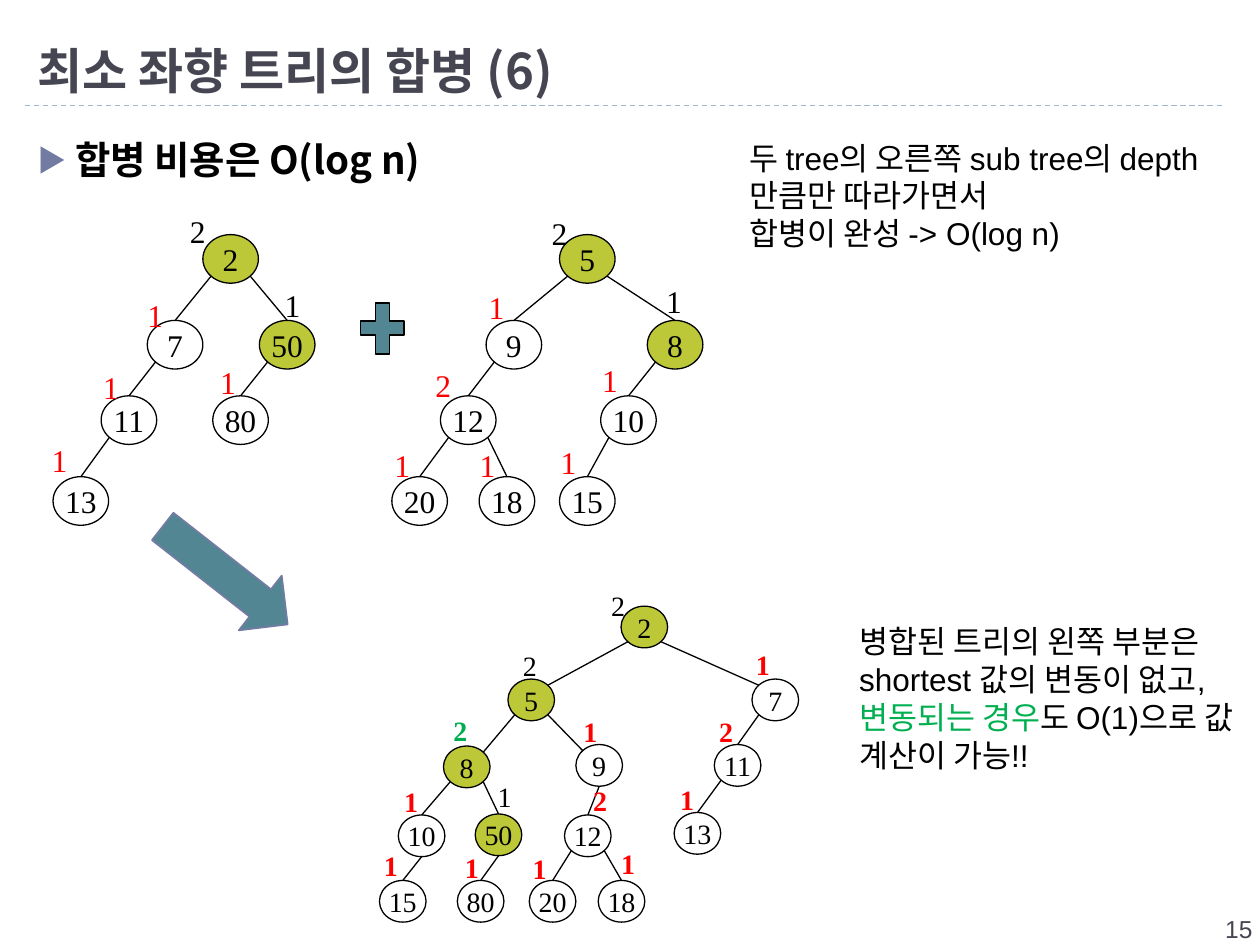
import pptx
import pptx.util
import pptx.dml.color
import pptx.enum.dml
import pptx.enum.shapes
import pptx.enum.text
import pptx.oxml
import pptx.oxml.ns

Cm = pptx.util.Cm
Pt = pptx.util.Pt
RGB = pptx.dml.color.RGBColor
Kind = pptx.enum.shapes.MSO_SHAPE
Align = pptx.enum.text.PP_ALIGN
Anchor = pptx.enum.text.MSO_ANCHOR

BLACK = RGB(0, 0, 0)
RED = RGB(255, 0, 0)
GREEN = RGB(0x00, 0xAC, 0x4E)
MINT = RGB(0x00, 0xB0, 0x50)
LIME = RGB(0xBC, 0xC8, 0x38)
TEAL = RGB(0x52, 0x86, 0x93)
SLATE = RGB(0x72, 0x7C, 0xA3)
INK = RGB(0x46, 0x46, 0x53)
RULE = RGB(0x9F, 0xB8, 0xCD)

SANS = "Arial"
SERIF = "Times New Roman"
HANGUL = "Noto Sans CJK KR"

ROWS = (5.22, 6.95, 8.47, 10.1)

LEFT = [
    ("2", 4.65, ROWS[0], LIME, 3.58, 4.14, BLACK, None, None),
    ("7", 3.53, ROWS[1], None, 2.72, 5.84, RED, "2", "side"),
    ("50", 5.79, ROWS[1], LIME, 5.49, 5.64, BLACK, "2", "side"),
    ("11", 2.6, ROWS[2], None, 1.83, 7.29, RED, "7", "side"),
    ("80", 4.85, ROWS[2], None, 4.19, 7.19, RED, "50", "side"),
    ("13", 1.63, ROWS[3], None, 0.79, 8.76, RED, "11", "side"),
]
RIGHT = [
    ("5", 11.84, ROWS[0], LIME, 10.87, 4.19, BLACK, None, None),
    ("9", 10.36, ROWS[1], None, 9.6, 5.69, RED, "5", "side"),
    ("8", 13.61, ROWS[1], LIME, 13.18, 5.56, BLACK, "5", "side"),
    ("12", 9.44, ROWS[2], None, 8.53, 7.26, RED, "9", "side"),
    ("10", 12.67, ROWS[2], None, 11.89, 7.16, RED, "8", "side"),
    ("20", 8.46, ROWS[3], None, 7.7, 8.86, RED, "12", "side"),
    ("18", 10.22, ROWS[3], None, 9.42, 8.86, RED, "12", "side"),
    ("15", 11.84, ROWS[3], None, 11.05, 8.81, RED, "10", "side"),
]
MERGED = [
    ("2", 12.99, 12.64, LIME, 12.07, 11.73, BLACK, None, None),
    ("5", 10.71, 14.11, LIME, 10.29, 12.95, BLACK, "2", "slant"),
    ("7", 15.63, 14.11, None, 14.99, 12.93, RED, "2", "slant"),
    ("8", 9.41, 15.46, LIME, 8.89, 14.25, GREEN, "5", "slant"),
    ("9", 12.08, 15.43, None, 11.51, 14.27, RED, "5", "slant"),
    ("11", 14.87, 15.43, None, 14.25, 14.27, RED, "7", "side"),
    ("10", 8.5, 16.85, None, 7.9, 15.7, RED, "8", "side"),
    ("50", 10.05, 16.83, LIME, 9.78, 15.6, BLACK, "8", "side"),
    ("12", 11.85, 16.85, None, 11.71, 15.67, RED, "9", "down"),
    ("13", 14.06, 16.8, None, 13.46, 15.65, RED, "11", "side"),
    ("15", 8.12, 18.17, None, 7.49, 16.99, RED, "10", "down"),
    ("80", 9.69, 18.17, None, 9.12, 17.02, RED, "50", "down"),
    ("20", 11.14, 18.17, None, 10.49, 17.04, RED, "12", "side"),
    ("18", 12.53, 18.17, None, 12.27, 16.94, RED, "12", "side"),
]
RANKS = {
    "LEFT": dict(zip("2 7 50 11 80 13".split(), "211111")),
    "RIGHT": dict(zip("5 9 8 12 10 20 18 15".split(), "21121111")),
    "MERGED": dict(zip("2 5 7 8 9 11 10 50 12 13 15 80 20 18".split(),
                       "22121211211111")),
}


def write(shape, text, size=18, font=SANS, color=BLACK, bold=False,
          align=Align.LEFT, anchor=Anchor.TOP, wrap=True):
    frame = shape.text_frame
    frame.auto_size = pptx.enum.text.MSO_AUTO_SIZE.NONE
    frame.word_wrap = wrap
    frame.vertical_anchor = anchor
    paras = text if isinstance(text, list) else [[(text, color)]]
    for index, parts in enumerate(paras):
        para = frame.add_paragraph() if index else frame.paragraphs[0]
        para.alignment = align
        for words, tint in parts:
            run = para.add_run()
            run.text = words
            run.font.size = Pt(size)
            run.font.bold = bold
            run.font.color.rgb = tint
            run.font.name = font
            east = run._r.get_or_add_rPr().makeelement(
                pptx.oxml.ns.qn("a:ea"), {"typeface": HANGUL})
            run._r.rPr.append(east)
    return frame


def place(shape, x, y, w, h):
    shape.left, shape.top, shape.width, shape.height = map(Cm, (x, y, w, h))


def label(slide, text, x, y, w, h, **style):
    box = slide.shapes.add_textbox(Cm(x), Cm(y), Cm(w), Cm(h))
    return write(box, text, **style)


def form(slide, kind, x, y, w, h, fill=None, line=BLACK, width=0.75):
    shape = slide.shapes.add_shape(kind, Cm(x), Cm(y), Cm(w), Cm(h))
    shape.shadow.inherit = False
    if fill is None:
        shape.fill.background()
    else:
        shape.fill.solid()
        shape.fill.fore_color.rgb = fill
    shape.line.color.rgb = line
    shape.line.width = Pt(width)
    return shape


def link(slide, start, end, color=BLACK):
    line = slide.shapes.add_connector(
        pptx.enum.shapes.MSO_CONNECTOR.STRAIGHT, *map(Cm, start + end))
    line.line.color.rgb = color
    line.line.width = Pt(0.75)
    props = line._element.spPr
    props.append(props.makeelement(pptx.oxml.ns.qn("a:effectLst"), {}))
    return line


def edge(slide, top, low, mode, w, h):
    side = 1 if low[0] > top[0] else -1
    dx, dy = side * w * 0.35, h * 0.35
    start = (top[0] + dx, top[1] + dy)
    end = (low[0], low[1] - h / 2)
    if mode == "down":
        start = (top[0], top[1] + h / 2)
    if mode == "slant":
        end = (low[0] - dx, low[1] - dy)
    link(slide, start, end)


def tree(slide, nodes, ranks, w, h, size, heavy=False):
    spots = {node[0]: node[1:3] for node in nodes}
    for key, x, y, fill, tx, ty, color, top, mode in nodes:
        if top:
            edge(slide, spots[top], (x, y), mode, w, h)
        oval = form(slide, Kind.OVAL, x - w / 2, y - h / 2, w, h, fill)
        write(oval, key, size=size, font=SERIF, align=Align.CENTER,
              anchor=Anchor.MIDDLE, wrap=False)
    for key, x, y, fill, tx, ty, color, top, mode in nodes:
        label(slide, ranks[key], tx, ty, 0.82, 1, size=size, font=SERIF,
              color=color, bold=heavy and color != BLACK, wrap=False)


def bullet(para):
    para.line_spacing = 1.3
    para.space_before = Pt(12)
    props = para._p.get_or_add_pPr()
    props.set("marL", str(Cm(0.76)))
    props.set("indent", str(-Cm(0.76)))
    space = pptx.oxml.ns.nsdecls("a")
    for mark in (f'<a:buClr {space}><a:srgbClr val="{SLATE}"/></a:buClr>',
                 f'<a:buSzPct {space} val="76000"/>',
                 f'<a:buFont {space} typeface="{HANGUL}"/>',
                 f'<a:buChar {space} char="▶"/>'):
        props.append(pptx.oxml.parse_xml(mark))


def main():
    deck = pptx.Presentation()
    deck.slide_width, deck.slide_height = Cm(25.4), Cm(19.05)
    slide = deck.slides.add_slide(deck.slide_layouts[1])
    title, body = slide.placeholders

    rule = link(slide, (0.5, 2.13), (24.7, 2.13), RULE)
    rule.line.dash_style = pptx.enum.dml.MSO_LINE.DASH
    place(title, 0.5, 0.43, 24.4, 1.7)
    write(title, "최소 좌향 트리의 합병 (6)", size=28, font=HANGUL,
          color=INK, bold=True, anchor=Anchor.BOTTOM)
    place(body, 0.5, 2.34, 24.4, 16.2)
    frame = write(body, "합병 비용은 O(log n)", size=22, font=HANGUL, bold=True)
    bullet(frame.paragraphs[0])

    tree(slide, MERGED, RANKS["MERGED"], 0.94, 0.84, 16, heavy=True)
    tree(slide, LEFT, RANKS["LEFT"], 1.12, 0.98, 18)
    tree(slide, RIGHT, RANKS["RIGHT"], 1.12, 0.98, 18)

    form(slide, Kind.MATH_PLUS, 7.11, 5.92, 1.2, 1.4, TEAL, BLACK, 1)
    arrow = form(slide, Kind.DOWN_ARROW, 3.84, 10, 1.4, 3.2, TEAL, SLATE, 1)
    arrow.rotation = 308.1

    label(slide, [[("두 tree의 오른쪽 sub tree의 depth만큼만 따라가면서", BLACK)],
                  [("합병이 완성 -> O(log n)", BLACK)]],
          14.86, 2.67, 9.7, 2.57)
    label(slide, [[("병합된 트리의 왼쪽 부분은 shortest 값의 변동이 없고, ", BLACK),
                   ("변동되는 경우", MINT),
                   ("도 O(1)으로 값 계산이 가능!!", BLACK)]],
          17.07, 12.42, 8.53, 3.33)
    label(slide, "15", 20, 18.31, 5.5, 1, size=14, color=INK, align=Align.RIGHT)
    deck.save("out.pptx")


main()
